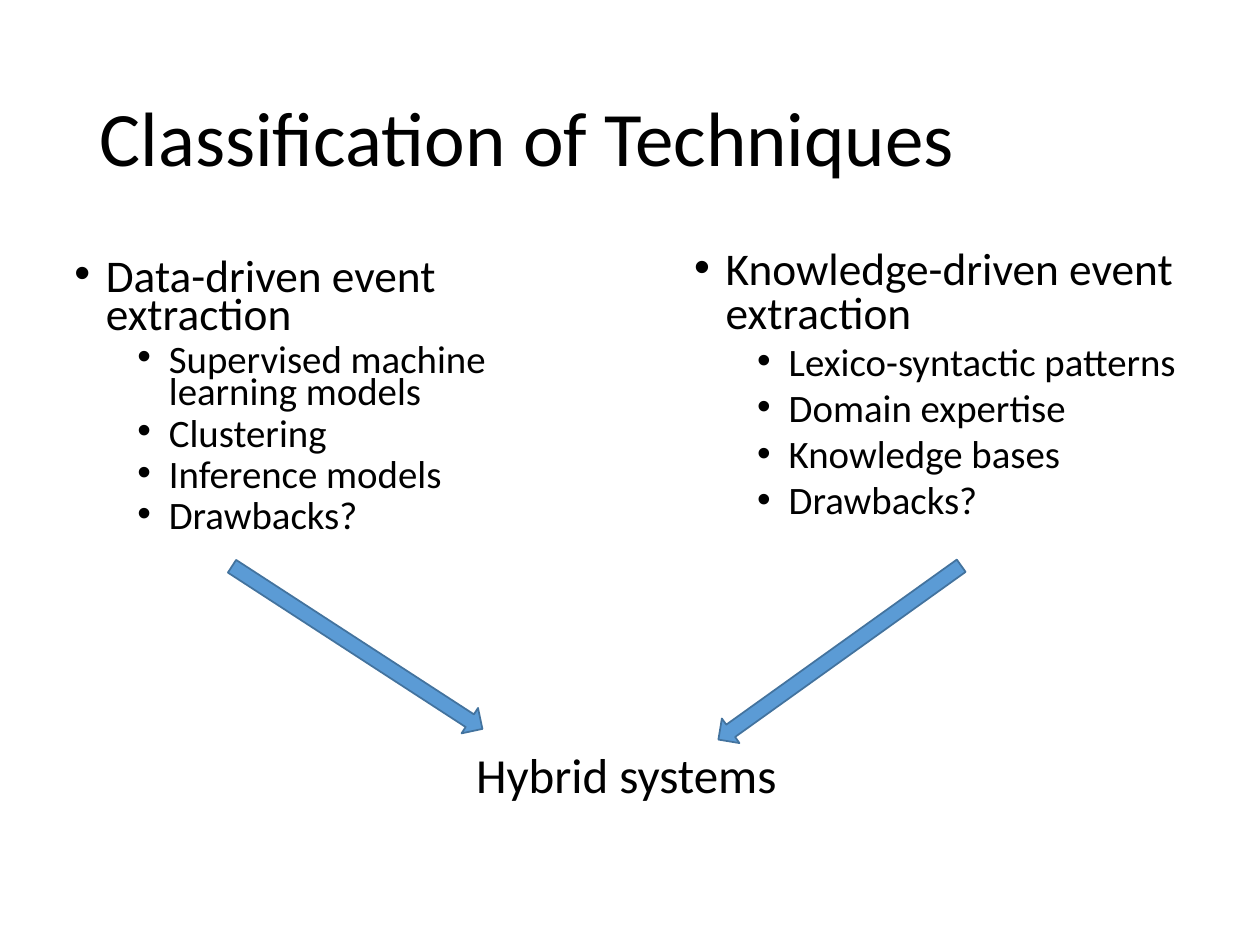
from dataclasses import dataclass

from lxml import etree
from pptx import Presentation
from pptx.dml.color import RGBColor
from pptx.enum.shapes import MSO_SHAPE
from pptx.enum.text import MSO_ANCHOR, MSO_AUTO_SIZE, PP_ALIGN
from pptx.oxml.ns import qn
from pptx.util import Inches, Pt

ARROW = MSO_SHAPE.RIGHT_ARROW
LEFT = PP_ALIGN.LEFT
TOP, MIDDLE = MSO_ANCHOR.TOP, MSO_ANCHOR.MIDDLE
NO_FIT = MSO_AUTO_SIZE.NONE
TWO_CONTENT = 3


@dataclass(frozen=True)
class Theme:
    font: str = "Calibri"
    bullet_font: str = "Arial"
    ink: RGBColor = RGBColor.from_string("000000")
    arrow_fill: RGBColor = RGBColor.from_string("5B9BD5")
    arrow_line: RGBColor = RGBColor.from_string("43739E")
    title_size: float = 44
    result_size: float = 28
    list_sizes: tuple = (25.9, 22.2)    # by list level
    list_gaps: tuple = (10, 5)
    list_indents: tuple = (0.25, 0.75)
    hanging: float = 0.25


def apply(target, values):
    for name, value in values.items():
        setattr(target, name, value)


class SlideBuilder:
    """Places elements on a grid of 100 columns by 75 rows."""

    def __init__(self, deck, theme):
        self.theme = theme
        self.column = deck.slide_width / 100
        self.row = deck.slide_height / 75
        self.slide = deck.slides.add_slide(deck.slide_layouts[TWO_CONTENT])

    def frame(self, left, top, width, height):
        return {"left": round(left * self.column), "top": round(top * self.row),
                "width": round(width * self.column), "height": round(height * self.row)}

    def prepare(self, box, area, anchor=TOP):
        apply(box, self.frame(*area))
        apply(box.text_frame, {"word_wrap": True, "auto_size": NO_FIT,
                               "vertical_anchor": anchor})
        return box.text_frame

    def fill_para(self, para, text, size, spacing, gap=0):
        apply(para, {"alignment": LEFT, "line_spacing": spacing,
                     "space_before": Pt(gap), "space_after": Pt(0)})
        span = para.add_run()
        span.text = text
        apply(span.font, {"name": self.theme.font, "size": Pt(size)})
        span.font.color.rgb = self.theme.ink

    def title(self, text, area):
        body = self.prepare(self.slide.shapes.title, area, MIDDLE)
        self.fill_para(body.paragraphs[0], text, self.theme.title_size, 0.9)

    def bullet(self, para, level):
        properties = para._p.get_or_add_pPr()
        properties.set("marL", str(Inches(self.theme.list_indents[level])))
        properties.set("indent", str(-Inches(self.theme.hanging)))
        etree.SubElement(properties, qn("a:buFont")).set("typeface", self.theme.bullet_font)
        etree.SubElement(properties, qn("a:buChar")).set("char", "•")

    def bullet_list(self, index, heading, items, area, spacing):
        body = self.prepare(self.slide.placeholders[index], area)
        for number, text in enumerate([heading, *items]):
            para = body.add_paragraph() if number else body.paragraphs[0]
            level = min(number, 1)
            para.level = level
            self.fill_para(para, text, self.theme.list_sizes[level], spacing,
                           self.theme.list_gaps[level])
            self.bullet(para, level)

    def label(self, text, area):
        box = self.slide.shapes.add_textbox(*self.frame(*area).values())
        body = self.prepare(box, area)
        self.fill_para(body.paragraphs[0], text, self.theme.result_size, 0.9, 10)

    def arrow(self, area, rotation):
        arrow = self.slide.shapes.add_shape(ARROW, *self.frame(*area).values())
        arrow.rotation = rotation
        arrow.shadow.inherit = False
        arrow.fill.solid()
        arrow.fill.fore_color.rgb = self.theme.arrow_fill
        arrow.line.color.rgb = self.theme.arrow_line
        arrow.line.width = Pt(1)


def main():
    deck = Presentation()
    deck.slide_width, deck.slide_height = Inches(10), Inches(7.5)
    page = SlideBuilder(deck, Theme())

    # Title
    page.title("Classification of Techniques", (6.9, 4, 86.2, 14.5))

    # The two families of techniques
    page.bullet_list(1, "Data-driven event extraction",
                     ["Supervised machine learning models", "Clustering",
                      "Inference models", "Drawbacks?"],
                     (4.9, 20.3, 42.9, 24.5), 0.7)
    page.bullet_list(2, "Knowledge-driven event extraction",
                     ["Lexico-syntactic patterns", "Domain expertise",
                      "Knowledge bases", "Drawbacks?"],
                     (54.1, 19.4, 40.3, 24.5), 0.8)

    # Both lead to hybrid systems
    page.label("Hybrid systems", (36.8, 59.1, 34.8, 8.3))
    for left, top, rotation in [(16.5, 50.2, 33), (54.8, 50.6, 144.4)]:
        page.arrow((left, top, 23.7, 2.4), rotation)

    deck.save("out.pptx")


if __name__ == "__main__":
    main()
